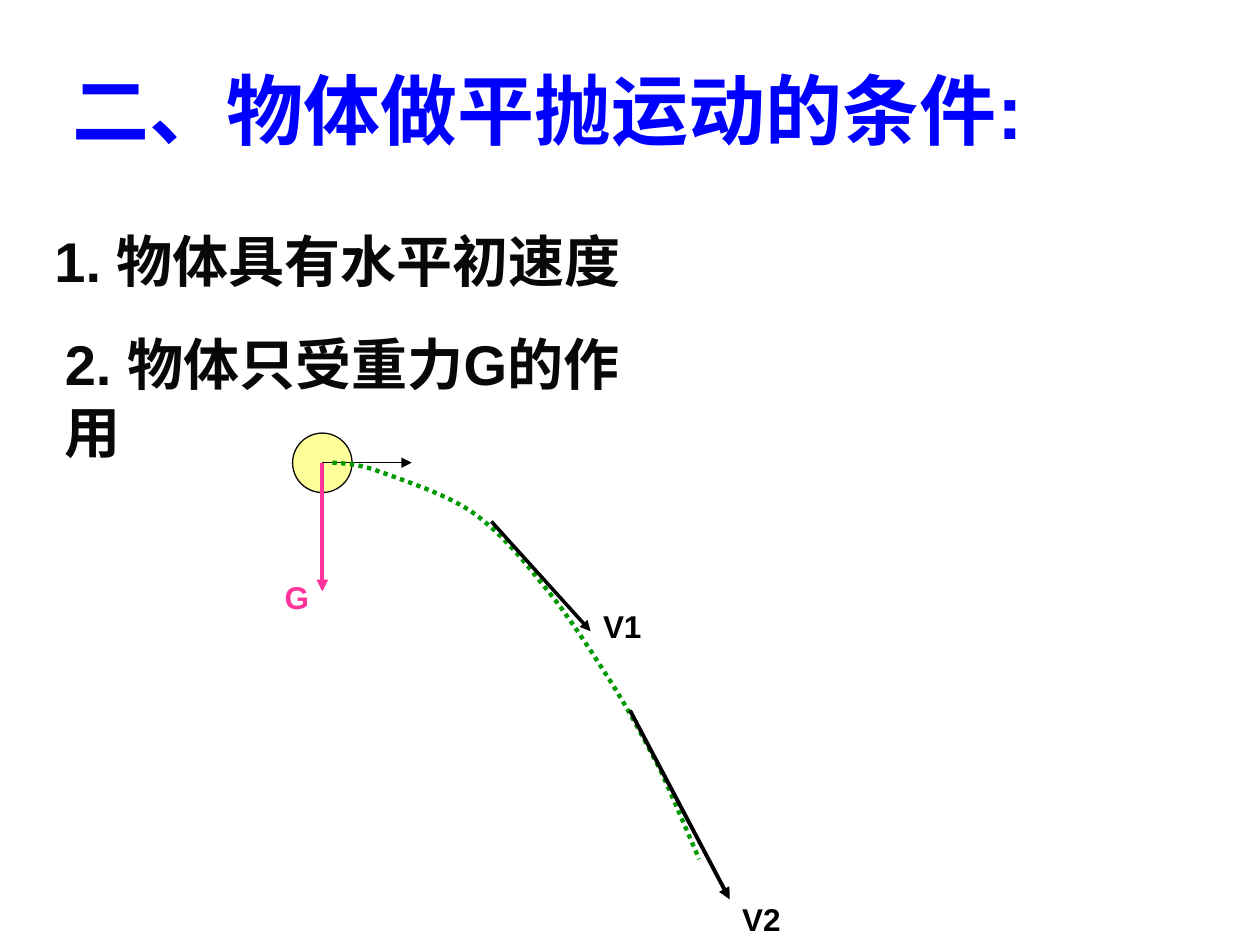
from lxml import etree
from pptx import Presentation
from pptx.dml.color import RGBColor
from pptx.enum.dml import MSO_LINE
from pptx.enum.shapes import MSO_CONNECTOR, MSO_SHAPE
from pptx.enum.text import MSO_ANCHOR, PP_ALIGN
from pptx.oxml.ns import qn
from pptx.util import Pt

DOTTED = MSO_LINE.ROUND_DOT
STRAIGHT = MSO_CONNECTOR.STRAIGHT
OVAL = MSO_SHAPE.OVAL
TOP, MIDDLE = MSO_ANCHOR.TOP, MSO_ANCHOR.MIDDLE
LEFT, CENTER = PP_ALIGN.LEFT, PP_ALIGN.CENTER

BLUE, INK, BLACK = "0000FF", "080808", "000000"
PINK, YELLOW, GREEN = "FF3399", "FFFF99", "009900"

# text, (left, top, width, height), size, colour, alignment, anchor, hanging indent
TEXTS = [
    ("二、物体做平抛运动的条件:", (26, 21.6, 574, 80.6), 44, BLUE, CENTER, MIDDLE, 0),
    ("1. 物体具有水平初速度", (24, 126, 416, 46), 32, INK, LEFT, TOP, 27),
    ("2. 物体只受重力G的作用", (30, 185, 363, 45.4), 32, INK, LEFT, TOP, 0),
    ("G", (155.5, 327, 34, 29), 18, PINK, LEFT, TOP, 0),
    ("V1", (337.5, 343.5, 62.5, 29), 18, BLACK, LEFT, TOP, 0),
    ("V2", (417, 511, 62.5, 29), 18, BLACK, LEFT, TOP, 0),
]

BALL = (167.2, 247.5, 34, 34)
BALL_CENTRE = (184.2, 264.4)

# start, end, colour, line width
START_ARROWS = [
    (BALL_CENTRE, (184.2, 338), PINK, 2.25),
    (BALL_CENTRE, (235.3, 264.4), "060206", 0.75),
]
VELOCITY_ARROWS = [
    ((280.8, 298), (337.5, 360.7), BLACK, 2),
    ((360, 406), (417, 514), BLACK, 2.25),
]

# Cubic Bezier: a start point, then two handles and an end point per segment
TRAJECTORY = [
    (190, 264.4),
    (197.3, 265), (205.2, 265), (218.2, 270),
    (231.8, 275), (254.2, 282.2), (269.3, 292.3),
    (284.4, 303.1), (295.9, 316.1), (308.9, 332.6),
    (322.6, 348.5), (337, 370.8), (348.5, 388.8),
    (360, 406.8), (368.6, 423.4), (377.3, 439.9),
    (385.2, 457.2), (392.4, 474.5), (399.6, 491),
]
STEPS = 10


def colour(value):
    return RGBColor.from_string(value)


def points(values):
    return [Pt(value) for value in values]


def set_line(shape, value, width):
    shape.line.color.rgb = colour(value)
    shape.line.width = Pt(width)


def add_text(page, text, place, size, ink, alignment, anchor, hanging):
    frame = page.shapes.add_textbox(*points(place)).text_frame
    frame.word_wrap = True
    frame.vertical_anchor = anchor
    para = frame.paragraphs[0]
    para.alignment = alignment
    if hanging:
        properties = para._p.get_or_add_pPr()
        properties.set("marL", str(Pt(hanging)))
        properties.set("indent", str(-Pt(hanging)))
    span = para.add_run()
    span.text = text
    for name, value in {"name": "Arial", "size": Pt(size), "bold": True}.items():
        setattr(span.font, name, value)
    span.font.color.rgb = colour(ink)


def add_arrow(page, start, end, ink, width):
    arrow = page.shapes.add_connector(STRAIGHT, *points(start + end))
    set_line(arrow, ink, width)
    etree.SubElement(arrow.line._get_or_add_ln(), qn("a:tailEnd"), type="triangle")
    etree.SubElement(arrow._element.spPr, qn("a:effectLst"))


def bezier_points(controls):
    """Sample each cubic segment at equal parameter steps."""
    sampled = []
    for first in range(0, len(controls) - 1, 3):
        segment = controls[first:first + 4]
        for step in range(1, STEPS + 1):
            t = step / STEPS
            weights = ((1 - t) ** 3, 3 * t * (1 - t) ** 2, 3 * t * t * (1 - t), t ** 3)
            sampled.append(tuple(
                Pt(sum(weight * value for weight, value in zip(weights, axis)))
                for axis in zip(*segment)
            ))
    return sampled


def add_trajectory(page):
    builder = page.shapes.build_freeform(*points(TRAJECTORY[0]))
    builder.add_line_segments(bezier_points(TRAJECTORY), close=False)
    curve = builder.convert_to_shape()
    curve.shadow.inherit = False
    curve.fill.background()
    set_line(curve, GREEN, 2.5)
    curve.line.dash_style = DOTTED


def add_ball(page):
    ball = page.shapes.add_shape(OVAL, *points(BALL))
    ball.shadow.inherit = False
    ball.fill.solid()
    ball.fill.fore_color.rgb = colour(YELLOW)
    set_line(ball, INK, 0.75)


def main():
    deck = Presentation()
    deck.slide_width, deck.slide_height = Pt(720), Pt(540)
    page = deck.slides.add_slide(deck.slide_layouts[6])
    add_ball(page)
    for arrow in START_ARROWS:
        add_arrow(page, *arrow)
    add_trajectory(page)
    for arrow in VELOCITY_ARROWS:
        add_arrow(page, *arrow)
    for text in TEXTS:
        add_text(page, *text)
    deck.save("out.pptx")


if __name__ == "__main__":
    main()
